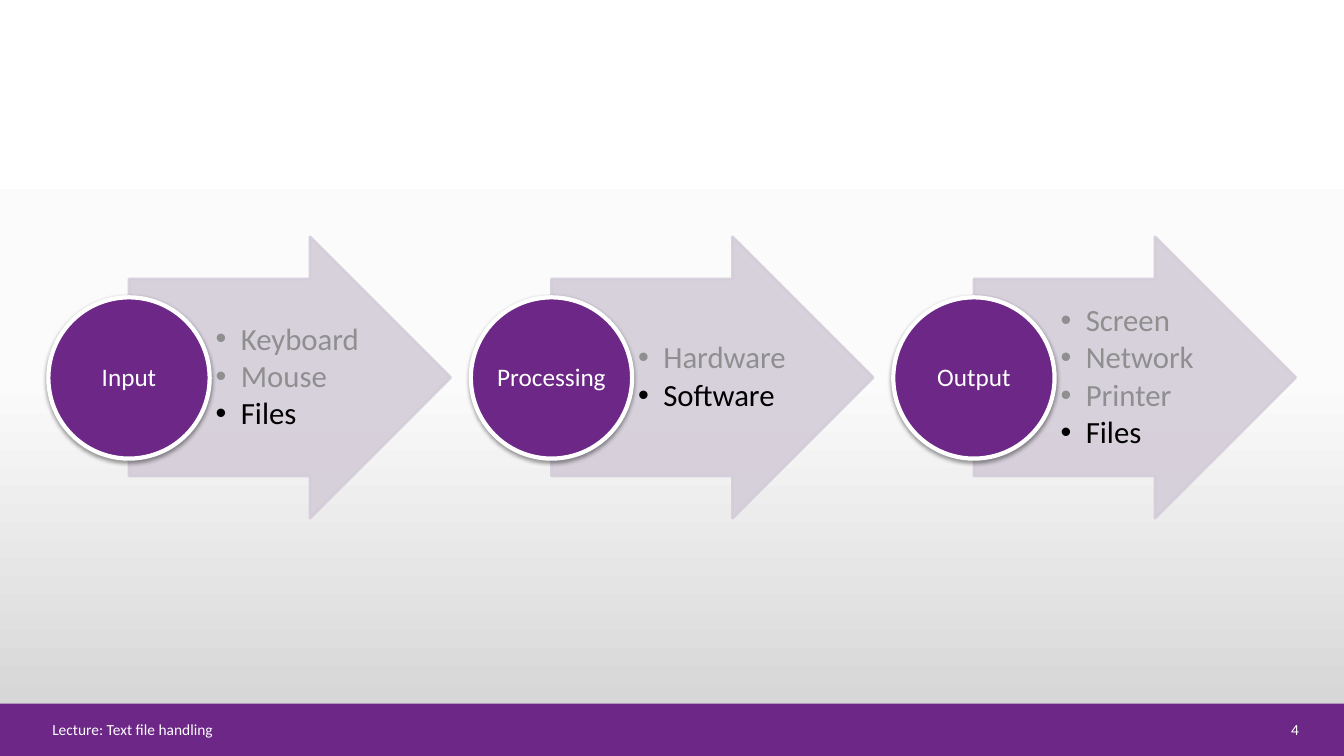
from copy import deepcopy

from pptx import Presentation
from pptx.dml.color import RGBColor
from pptx.enum.shapes import MSO_SHAPE
from pptx.enum.text import MSO_ANCHOR, PP_ALIGN
from pptx.oxml import parse_xml
from pptx.oxml.ns import nsdecls, qn
from pptx.util import Inches, Pt

RECTANGLE = MSO_SHAPE.RECTANGLE
ARROW = MSO_SHAPE.RIGHT_ARROW
OVAL = MSO_SHAPE.OVAL
MIDDLE = MSO_ANCHOR.MIDDLE
LEFT, CENTER, RIGHT = PP_ALIGN.LEFT, PP_ALIGN.CENTER, PP_ALIGN.RIGHT

PURPLE = RGBColor(0x6C, 0x27, 0x87)
LILAC = RGBColor(0xD4, 0xCD, 0xD9)
GRAY = RGBColor(0x8F, 0x8F, 0x8F)
BLACK = RGBColor(0, 0, 0)
WHITE = RGBColor(0xFF, 0xFF, 0xFF)
BACKGROUND_STOPS = [
    (0, WHITE),
    (0.5, RGBColor(0xFB, 0xFB, 0xFB)),
    (1, RGBColor(0xD1, 0xD1, 0xD1)),
]

FONT = "Calibri"
FIRST_LEFT = 0.48
STAGE_STEP = 4.19
STAGES = [
    ("Input", ["Keyboard", "Mouse", "Files"]),
    ("Processing", ["Hardware", "Software"]),
    ("Output", ["Screen", "Network", "Printer", "Files"]),
]


def set_background(slide):
    fill = slide.background.fill
    fill.gradient()
    fill.gradient_angle = 270
    stop_list = next(slide.element.iter(qn("a:gsLst")))
    stop_list.append(deepcopy(stop_list[0]))
    for stop, (position, color) in zip(fill.gradient_stops, BACKGROUND_STOPS):
        stop.position = position
        stop.color.rgb = color


def add_filled_shape(slide, kind, left, top, width, height, color):
    shape = slide.shapes.add_shape(
        kind, Inches(left), Inches(top), Inches(width), Inches(height))
    shape.shadow.inherit = False
    shape.fill.solid()
    shape.fill.fore_color.rgb = color
    shape.line.fill.background()
    return shape


def set_outline(shape, color, width):
    shape.line.color.rgb = color
    shape.line.width = Pt(width)


def set_margins(text_frame, left, top, right, bottom):
    text_frame.margin_left = Inches(left)
    text_frame.margin_top = Inches(top)
    text_frame.margin_right = Inches(right)
    text_frame.margin_bottom = Inches(bottom)


def format_text(text_frame, size, color, alignment):
    text_frame.word_wrap = True
    text_frame.vertical_anchor = MIDDLE
    for paragraph in text_frame.paragraphs:
        paragraph.alignment = alignment
        for run in paragraph.runs:
            run.font.name = FONT
            run.font.size = Pt(size)
            run.font.color.rgb = color


def add_text(slide, left, top, width, height, text, size, color, alignment):
    box = slide.shapes.add_textbox(
        Inches(left), Inches(top), Inches(width), Inches(height))
    box.text_frame.text = text
    format_text(box.text_frame, size, color, alignment)
    return box.text_frame


def add_bullet(paragraph):
    properties = paragraph._p.get_or_add_pPr()
    properties.set("marL", str(Inches(0.25)))
    properties.set("indent", str(Inches(-0.25)))
    properties.append(parse_xml(f'<a:buFont {nsdecls("a")} typeface="Arial"/>'))
    properties.append(parse_xml(f'<a:buChar {nsdecls("a")} char="•"/>'))
    paragraph.line_spacing = 0.9
    paragraph.space_after = Pt(3)


def add_stage_arrow(slide, left):
    arrow = add_filled_shape(slide, ARROW, left, 2.35, 3.19, 2.79, LILAC)
    arrow.adjustments[0] = 0.7
    arrow.adjustments[1] = 0.5
    set_outline(arrow, LILAC, 2)
    for color in arrow._element.spPr.iter(qn("a:srgbClr")):
        color.append(parse_xml(f'<a:alpha {nsdecls("a")} val="90000"/>'))


def add_stage_items(slide, left, items):
    text_frame = add_text(
        slide, left, 2.77, 1.56, 1.95, "\n".join(items), 22, GRAY, LEFT)
    set_margins(text_frame, 0.06, 0.02, 0.03, 0.02)
    for paragraph in text_frame.paragraphs:
        add_bullet(paragraph)
    text_frame.paragraphs[-1].runs[0].font.color.rgb = BLACK


def add_stage_circle(slide, left, name):
    circle = add_filled_shape(slide, OVAL, left, 2.95, 1.6, 1.6, PURPLE)
    set_outline(circle, WHITE, 3)
    effects = circle._element.spPr.find(qn("a:effectLst"))
    effects.append(parse_xml(
        f'<a:outerShdw {nsdecls("a")} blurRad="40000" dist="20000" '
        'dir="5400000" rotWithShape="0"><a:srgbClr val="000000">'
        '<a:alpha val="38000"/></a:srgbClr></a:outerShdw>'))
    circle.text_frame.text = name
    format_text(circle.text_frame, 18, WHITE, CENTER)
    set_margins(circle.text_frame, 0.01, 0.01, 0.01, 0.01)
    circle.text_frame.paragraphs[0].line_spacing = 0.9


def add_stage(slide, left, name, items):
    add_stage_arrow(slide, left + 0.8)
    add_stage_items(slide, left + 1.6, items)
    add_stage_circle(slide, left, name)


def add_footer(slide):
    add_filled_shape(slide, RECTANGLE, 0, 6.98, 13.33, 0.52, PURPLE)
    add_text(slide, 0.42, 7.12, 11.65, 0.23,
             "Lecture: Text file handling", 11, WHITE, LEFT)
    add_text(slide, 12.23, 7.12, 0.75, 0.23, "4", 11, WHITE, RIGHT)


def main():
    presentation = Presentation()
    presentation.slide_width = Inches(13.33)
    presentation.slide_height = Inches(7.5)
    slide = presentation.slides.add_slide(presentation.slide_layouts[6])
    set_background(slide)
    add_footer(slide)
    for index, (name, items) in enumerate(STAGES):
        add_stage(slide, FIRST_LEFT + index * STAGE_STEP, name, items)
    presentation.save("out.pptx")


if __name__ == "__main__":
    main()
